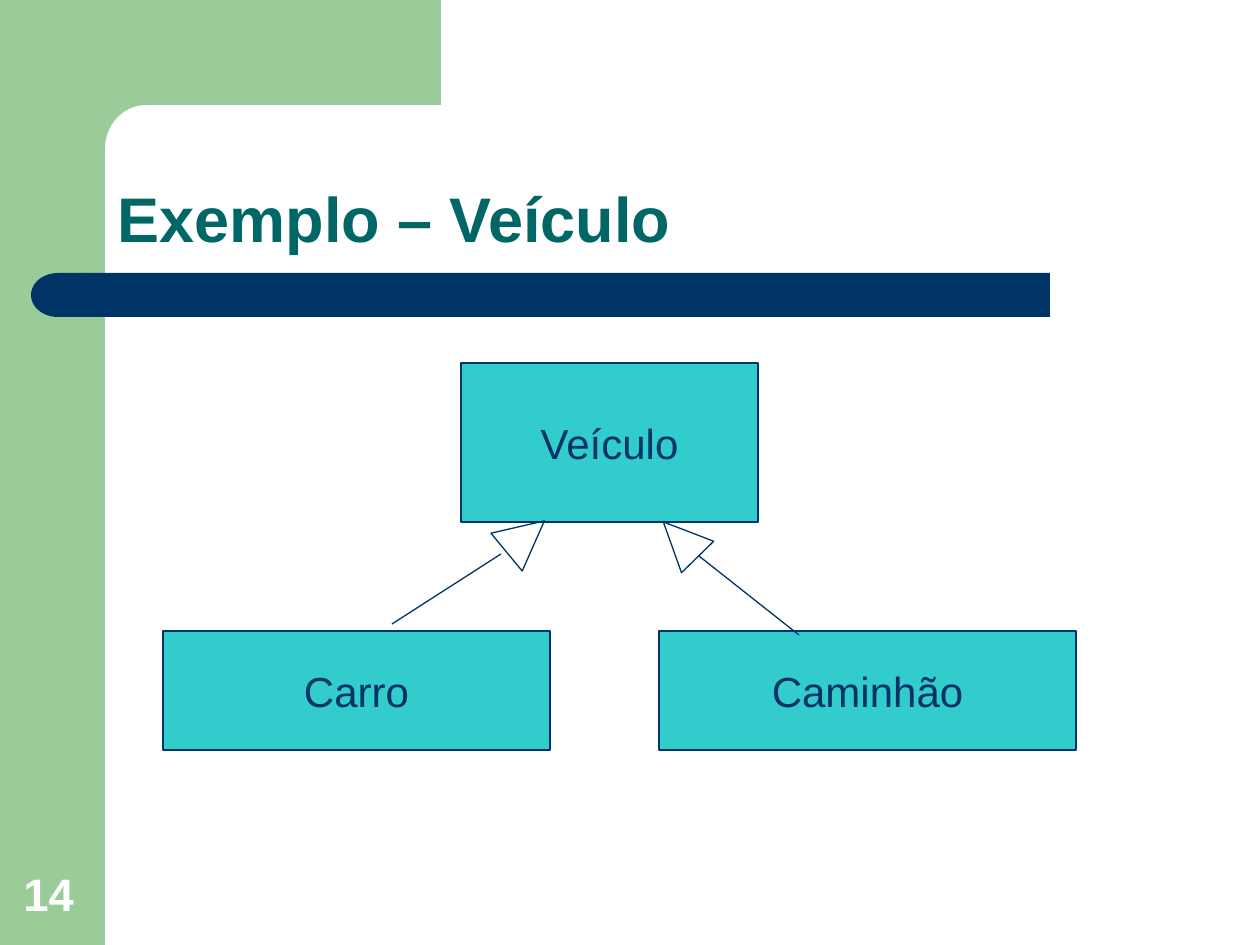
import math

from pptx import Presentation, util as u
from pptx.dml.color import RGBColor
from pptx.enum import shapes, text
from pptx.oxml.ns import qn
from lxml import etree

PX = u.Inches(1) / 126
FONT = "Arial"
GREEN = RGBColor(0x99, 0xCC, 0x99)
NAVY = RGBColor(0x00, 0x33, 0x66)
TEAL = RGBColor(0x00, 0x66, 0x66)
TURQUOISE = RGBColor(0x33, 0xCC, 0xCC)
WHITE = RGBColor(0xFF, 0xFF, 0xFF)
Kind = shapes.MSO_SHAPE
Anchor = text.MSO_ANCHOR
Align = text.PP_ALIGN


def emu(*lengths):
    return [round(length * PX) for length in lengths]


class Canvas:
    def __init__(self, page):
        self.page = page

    def paint(self, shape, fill=None, line=None):
        shape.shadow.inherit = False
        if fill is None:
            shape.fill.background()
        else:
            shape.fill.solid()
            shape.fill.fore_color.rgb = fill
        if line is None:
            shape.line.fill.background()
        else:
            shape.line.color.rgb = line
            shape.line.width = u.Pt(0.75)
        return shape

    def shape(self, kind, place, fill=None, line=None):
        return self.paint(self.page.shapes.add_shape(kind, *emu(*place)), fill, line)

    def outline(self, points, fill):
        points = [emu(*point) for point in points]
        builder = self.page.shapes.build_freeform(*points[0])
        builder.add_line_segments(points[1:])
        return self.paint(builder.convert_to_shape(), fill)

    def set_text(self, shape, words, size, color, bold=False, align=Align.LEFT,
                 anchor=Anchor.BOTTOM, wrap=True):
        frame = shape.text_frame
        frame.text = words
        frame.word_wrap = wrap
        frame.auto_size = text.MSO_AUTO_SIZE.NONE
        frame.vertical_anchor = anchor
        para = frame.paragraphs[0]
        para.alignment = align
        para.font.name, para.font.size = FONT, u.Pt(size)
        para.font.bold, para.font.color.rgb = bold, color
        return para

    def title(self, words, place):
        title = self.page.shapes.title
        title.left, title.top, title.width, title.height = emu(*place)
        self.set_text(title, words, 36, TEAL, bold=True).line_spacing = 0.9

    def label(self, words, place):
        box = self.page.shapes.add_textbox(*emu(*place))
        self.set_text(box, words, 26, WHITE, bold=True)

    def class_box(self, name, place):
        box = self.shape(Kind.RECTANGLE, place, TURQUOISE, NAVY)
        self.set_text(box, name, 24, NAVY, align=Align.CENTER,
                      anchor=Anchor.MIDDLE, wrap=False)

    def inheritance(self, start, end, head, angle):
        line = self.page.shapes.add_connector(
            shapes.MSO_CONNECTOR.STRAIGHT, *emu(*start, *end))
        line.line.color.rgb = NAVY
        line.line.width = u.Pt(0.75)
        etree.SubElement(line._element.spPr, qn("a:effectLst"))
        self.shape(Kind.ISOSCELES_TRIANGLE, head, line=NAVY).rotation = angle


def main():
    deck = Presentation()
    deck.slide_width, deck.slide_height = emu(1260, 945)
    page = deck.slides.add_slide(deck.slide_layouts[5])
    canvas = Canvas(page)

    # Green frame with a rounded inner corner
    canvas.shape(Kind.RECTANGLE, (0, 0, 105, 945), GREEN)
    turns = [math.radians(90 * step / 16) for step in range(17)]
    corner = [(146 - 41 * math.sin(turn), 149 - 44 * math.cos(turn)) for turn in turns]
    canvas.outline([(441, 0), (441, 105), *corner, (105, 161), (63, 161), (63, 0)], GREEN)

    # Bar under the title
    canvas.shape(Kind.RECTANGLE, (84, 273, 966, 44), NAVY)
    cap = canvas.shape(Kind.FLOWCHART_DELAY, (31, 273, 54, 44), NAVY)
    cap.rotation = 180

    # Title and page number
    canvas.title("Exemplo – Veículo", (105, 105, 1092, 157))
    canvas.label("14", (11, 861, 81, 66))

    # Class hierarchy
    canvas.class_box("Veículo", (461, 363, 297, 159))
    canvas.class_box("Carro", (163, 631, 387, 119))
    canvas.class_box("Caminhão", (659, 631, 417, 119))
    canvas.inheritance((501, 554), (392, 624), (501, 512, 49, 49), 50.4)
    canvas.inheritance((699, 556), (799, 635), (658, 515, 45, 49), 315.7)

    deck.save("out.pptx")


if __name__ == "__main__":
    main()
